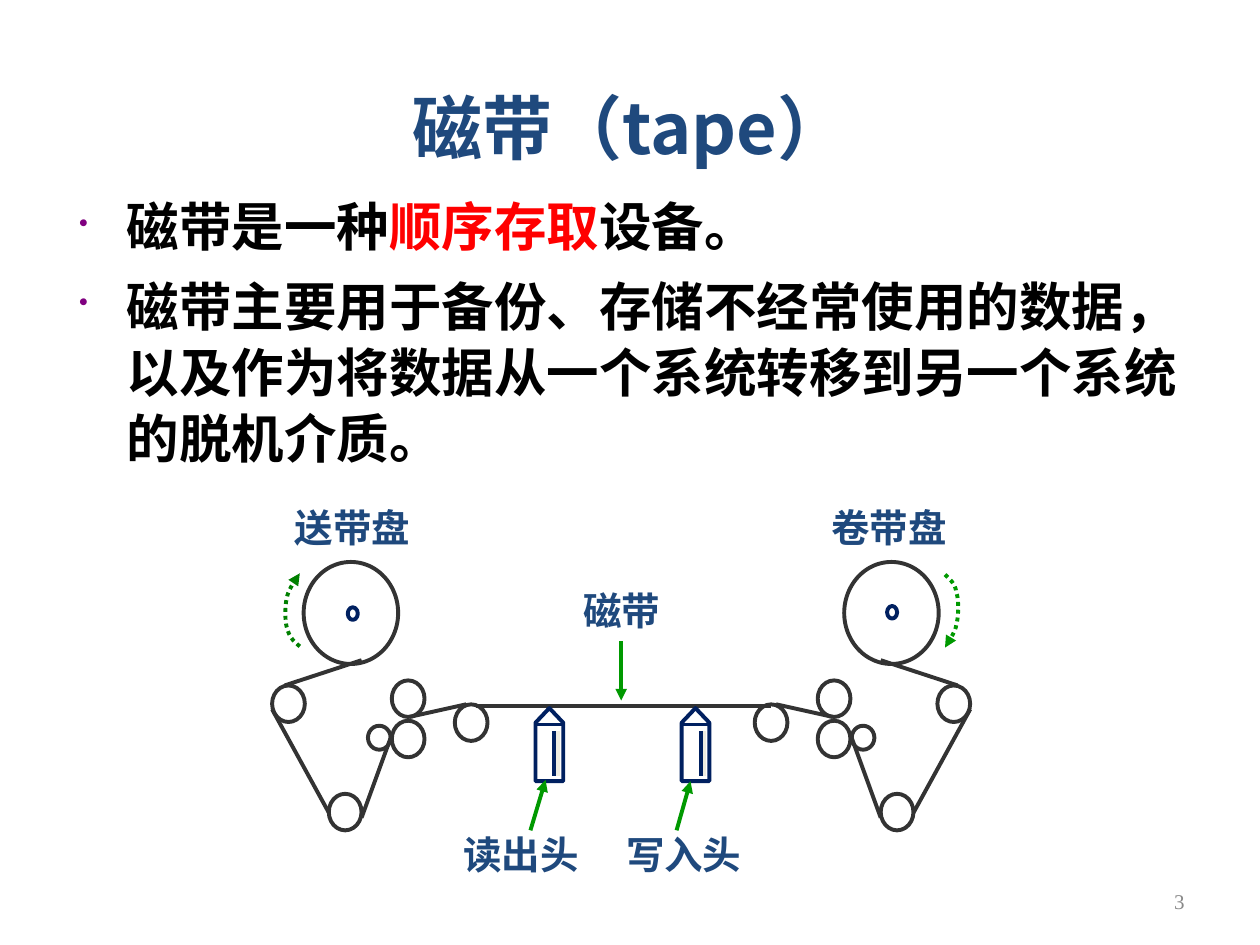
from dataclasses import dataclass

from lxml.etree import SubElement
from pptx import Presentation
from pptx.dml.color import RGBColor
from pptx.enum.dml import MSO_LINE
from pptx.enum.shapes import MSO_CONNECTOR, MSO_SHAPE
from pptx.enum.text import MSO_ANCHOR, PP_ALIGN
from pptx.oxml.ns import qn
from pptx.util import Inches, Pt


@dataclass(frozen=True)
class Theme:
    navy: str = "1F497D"
    head: str = "002060"
    head_shade: str = "EEECE1"
    outline: str = "333333"
    arrow: str = "009900"
    feed_arrow: str = "008000"
    bullet: str = "800080"
    accent: str = "FF0000"
    black: str = "000000"
    white: str = "FFFFFF"
    gray: str = "898989"
    title_font: str = "Noto Sans CJK JP"
    body_font: str = "Noto Sans CJK SC"
    label_font: str = "Times New Roman"
    title_size: int = 40
    body_size: int = 30
    label_size: int = 22
    number_size: int = 12
    stroke: float = 2.25


THEME = Theme()
WIDTH, HEIGHT = 10, 7.5
MIRROR_SUM = 9.86

TITLE = "磁带（tape）"
BULLETS = [
    [("磁带是一种", THEME.black), ("顺序存取", THEME.accent), ("设备。", THEME.black)],
    [("磁带主要用于备份、存储不经常使用的数据，以及作为将数据从一个系统转移到另一个系统的脱机介质。", THEME.black)],
]
PAGE_NUMBER = "3"
LABELS = [
    ("送带盘", 2.24, 3.95, 1.18),
    ("卷带盘", 6.5, 3.95, 1.25),
    ("磁带", 4.53, 4.61, 0.94),
    ("读出头", 3.58, 6.55, 1.14),
    ("写入头", 4.87, 6.55, 1.19),
]
LEFT_WHEELS = [
    (2.41, 4.46, 0.75, 0.81),
    (2.16, 5.44, 0.26, 0.29),
    (2.61, 6.3, 0.26, 0.29),
    (3.11, 5.4, 0.26, 0.29),
    (3.11, 5.72, 0.26, 0.29),
    (3.61, 5.59, 0.26, 0.29),
    (2.92, 5.76, 0.18, 0.19),
]
LEFT_TAPE = [
    (2.87, 5.24, 2.26, 5.44),
    (2.16, 5.63, 2.61, 6.45),
    (2.87, 6.49, 3.11, 5.83),
    (3.25, 5.69, 3.7, 5.59),
]
MIDDLE_TAPE = (3.78, 5.6, 6.12, 5.6)
HUBS = [(2.76, 4.82, 0.08, 0.1), (7.04, 4.81, 0.08, 0.1)]
HEAD_LEFTS = [4.25, 5.41]
HEAD_TOP, HEAD_WIDTH, HEAD_HEIGHT = 5.62, 0.22, 0.58
POINTERS = [(4.21, 6.59, 4.33, 6.19), (5.37, 6.59, 5.48, 6.2), (4.93, 5.09, 4.93, 5.56)]
ROTATIONS = [
    (THEME.feed_arrow, [(2.38, 5.13), (2.33, 5.09), (2.3, 5.06), (2.28, 4.99), (2.26, 4.93),
                        (2.26, 4.81), (2.28, 4.73), (2.3, 4.66), (2.36, 4.58), (2.38, 4.55)]),
    (THEME.arrow, [(7.5, 4.56), (7.54, 4.6), (7.58, 4.63), (7.59, 4.7), (7.61, 4.76),
                   (7.61, 4.88), (7.59, 4.96), (7.58, 5.03), (7.51, 5.11), (7.5, 5.14)]),
]


def color(value):
    return RGBColor.from_string(value)


def box(*lengths):
    return [Inches(length) for length in lengths]


def style_run(run, font_name, size, value, bold=True, east_asian=False):
    run.font.name = font_name
    run.font.size = Pt(size)
    run.font.bold = bold
    run.font.color.rgb = color(value)
    if east_asian:
        SubElement(run.font._element, qn("a:ea"), typeface=font_name)


def style_line(shape, value, arrow=False):
    shape.line.color.rgb = color(value)
    shape.line.width = Pt(THEME.stroke)
    if arrow:
        SubElement(shape.line._get_or_add_ln(), qn("a:tailEnd"), type="triangle")


def add_line(slide, ends, value, arrow=False):
    line = slide.shapes.add_connector(MSO_CONNECTOR.STRAIGHT, *box(*ends))
    style_line(line, value, arrow)
    SubElement(line._element.spPr, qn("a:effectLst"))


def add_solid(slide, preset, place, value):
    shape = slide.shapes.add_shape(preset, *box(*place))
    shape.shadow.inherit = False
    shape.fill.solid()
    shape.fill.fore_color.rgb = color(THEME.white)
    style_line(shape, value)
    return shape


def add_text(slide, text, place, size, value, bold, align, anchor):
    text_box = slide.shapes.add_textbox(*box(*place))
    frame = text_box.text_frame
    frame.word_wrap = True
    frame.vertical_anchor = anchor
    frame.text = text
    frame.paragraphs[0].alignment = align
    style_run(frame.paragraphs[0].runs[0], THEME.label_font, size, value, bold)


def add_title(slide):
    title = slide.shapes.title
    title.left, title.top, title.width, title.height = box(0.5, 0.5, 9, 1.01)
    title.text_frame.text = TITLE
    title.text_frame.vertical_anchor = MSO_ANCHOR.MIDDLE
    paragraph = title.text_frame.paragraphs[0]
    paragraph.alignment = PP_ALIGN.CENTER
    style_run(paragraph.runs[0], THEME.title_font, THEME.title_size, THEME.navy, east_asian=True)


def add_bullets(slide):
    frame = slide.shapes.add_textbox(*box(0.53, 1.47, 9, 2.84)).text_frame
    frame.word_wrap = True
    for index, parts in enumerate(BULLETS):
        paragraph = frame.add_paragraph() if index else frame.paragraphs[0]
        paragraph.line_spacing = 1.05
        paragraph.space_before = Pt(7.5 if index else 0)
        properties = paragraph._p.get_or_add_pPr()
        properties.set("marL", str(Inches(0.38)))
        properties.set("indent", str(-Inches(0.38)))
        bullet_color = SubElement(properties, qn("a:buClr"))
        SubElement(bullet_color, qn("a:srgbClr"), val=THEME.bullet)
        SubElement(properties, qn("a:buSzPct"), val="50000")
        SubElement(properties, qn("a:buChar"), char="•")
        for text, value in parts:
            run = paragraph.add_run()
            run.text = text
            style_run(run, THEME.body_font, THEME.body_size, value, east_asian=True)


def curve_points(controls, steps=12):
    points = [controls[0]]
    for start in range(0, len(controls) - 1, 3):
        segment = controls[start:start + 4]
        for step in range(1, steps + 1):
            t = step / steps
            weights = ((1 - t) ** 3, 3 * t * (1 - t) ** 2, 3 * t ** 2 * (1 - t), t ** 3)
            points.append(tuple(sum(w * point[axis] for w, point in zip(weights, segment))
                                for axis in (0, 1)))
    return points


def add_rotation(slide, value, controls):
    points = [tuple(box(*point)) for point in curve_points(controls)]
    builder = slide.shapes.build_freeform(*points[0])
    builder.add_line_segments(points[1:], close=False)
    shape = builder.convert_to_shape()
    shape.shadow.inherit = False
    shape.fill.background()
    shape.line.dash_style = MSO_LINE.ROUND_DOT
    style_line(shape, value, arrow=True)


def add_head(slide, left):
    head = add_solid(slide, MSO_SHAPE.FLOWCHART_OFFPAGE_CONNECTOR,
                     (left, HEAD_TOP, HEAD_WIDTH, HEAD_HEIGHT), THEME.head)
    head._element.spPr.get_or_add_xfrm().set("flipV", "1")
    for offset, value in ((0.18, THEME.head_shade), (0.15, THEME.head)):
        add_line(slide, (left + offset, 5.8, left + offset, 6.16), value)
    add_line(slide, (left, 5.75, left + HEAD_WIDTH, 5.75), THEME.head)


def add_tape_drive(slide):
    for left, top, width, height in LEFT_WHEELS:
        for side in (left, MIRROR_SUM - left - width):
            add_solid(slide, MSO_SHAPE.OVAL, (side, top, width, height), THEME.outline)
    for x1, y1, x2, y2 in LEFT_TAPE:
        add_line(slide, (x1, y1, x2, y2), THEME.outline)
        add_line(slide, (MIRROR_SUM - x1, y1, MIRROR_SUM - x2, y2), THEME.outline)
    add_line(slide, MIDDLE_TAPE, THEME.outline)
    for left in HEAD_LEFTS:
        add_head(slide, left)
    for ends in POINTERS:
        add_line(slide, ends, THEME.arrow, arrow=True)
    for place in HUBS:
        add_solid(slide, MSO_SHAPE.OVAL, place, THEME.head)
    for value, controls in ROTATIONS:
        add_rotation(slide, value, controls)
    for text, left, top, width in LABELS:
        add_text(slide, text, (left, top, width, 0.46), THEME.label_size, THEME.navy,
                 True, PP_ALIGN.JUSTIFY, MSO_ANCHOR.TOP)


def main():
    presentation = Presentation()
    presentation.slide_width, presentation.slide_height = box(WIDTH, HEIGHT)
    slide = presentation.slides.add_slide(presentation.slide_layouts[5])
    add_title(slide)
    add_bullets(slide)
    add_tape_drive(slide)
    add_text(slide, PAGE_NUMBER, (7.17, 6.95, 2.33, 0.4), THEME.number_size, THEME.gray,
             False, PP_ALIGN.RIGHT, MSO_ANCHOR.MIDDLE)
    presentation.save("out.pptx")


if __name__ == "__main__":
    main()
